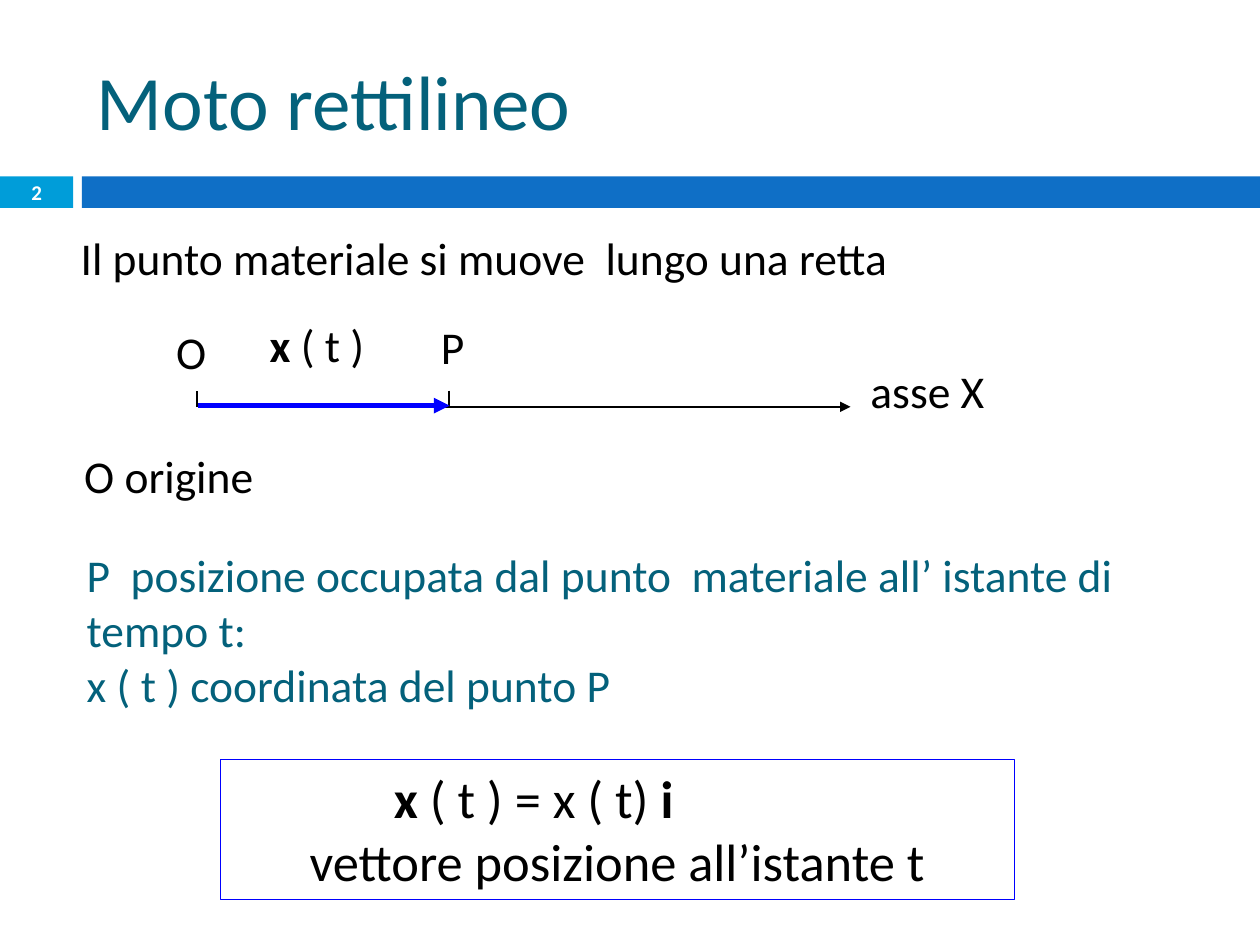
"""Build the slide on straight-line motion of a material point."""
from dataclasses import dataclass

from lxml.etree import SubElement
from pptx import Presentation
from pptx.dml.color import RGBColor
from pptx.enum.shapes import MSO_CONNECTOR, MSO_SHAPE
from pptx.enum.text import MSO_ANCHOR, MSO_AUTO_SIZE, PP_ALIGN
from pptx.oxml.ns import qn
from pptx.util import Pt

BLACK, WHITE, TEAL, BLUE = "000000", "FFFFFF", "04617B", "0000FF"
AXIS_Y = 232.5
ORIGIN_X, POINT_X = 112.5, 256.5


@dataclass
class Area:
    left: float
    top: float
    width: float
    height: float

    def lengths(self) -> tuple:
        return Pt(self.left), Pt(self.top), Pt(self.width), Pt(self.height)


@dataclass
class Label:
    area: Area
    lines: list
    color: str = BLACK
    anchor: MSO_ANCHOR = MSO_ANCHOR.TOP


@dataclass
class Segment:
    start: tuple
    end: tuple
    color: str = BLACK
    weight: float = 1.5
    arrow: bool = False


LABELS = [
    Label(Area(39, 128, 673, 39), ["Il punto materiale si muove  lungo una retta"]),
    Label(Area(490.3, 203.8, 150.5, 47.5), ["asse X"]),
    Label(Area(93.6, 181.4, 44, 36), ["O"]),
    Label(Area(244.8, 178.6, 40.3, 36), ["P"]),
    Label(Area(42.5, 296.6, 652.3, 126),
          ["P  posizione occupata dal punto  materiale all’ istante di tempo t:",
           "x ( t ) coordinata del punto P"], TEAL, MSO_ANCHOR.MIDDLE),
    Label(Area(41, 252.7, 193.7, 39), ["O origine"]),
]

SEGMENTS = [
    Segment((113.8, AXIS_Y), (486, AXIS_Y), arrow=True),
    Segment((POINT_X, 223.2), (POINT_X, AXIS_Y)),
    Segment((113, 231.8), (257, 231.8), BLUE, 3, True),
    Segment((ORIGIN_X, AXIS_Y), (ORIGIN_X, 223.2)),
]


def rgb(color: str) -> RGBColor:
    """Turn a hex string into a colour."""
    return RGBColor.from_string(color)


def add_span(para, text: str, *, size: float = 26, color: str = BLACK, bold: bool = False) -> None:
    """Append formatted text to a paragraph."""
    span = para.add_run()
    span.text = text
    span.font.name = "Calibri"
    span.font.size = Pt(size)
    span.font.bold = bold
    span.font.color.rgb = rgb(color)


def add_box(page, area: Area, anchor: MSO_ANCHOR = MSO_ANCHOR.TOP):
    """Add a wrapping text box and return its text frame."""
    frame = page.shapes.add_textbox(*area.lengths()).text_frame
    frame.word_wrap = True
    frame.vertical_anchor = anchor
    return frame


def add_label(page, label: Label) -> None:
    """Add a text box with one paragraph for each line."""
    frame = add_box(page, label.area, label.anchor)
    for index, line in enumerate(label.lines):
        para = frame.add_paragraph() if index else frame.paragraphs[0]
        add_span(para, line, color=label.color)


def add_rectangle(page, area: Area, fill: str, outline: str = ""):
    """Add a flat rectangle with an optional thin outline."""
    box = page.shapes.add_shape(MSO_SHAPE.RECTANGLE, *area.lengths())
    box.shadow.inherit = False
    box.fill.solid()
    box.fill.fore_color.rgb = rgb(fill)
    if outline:
        box.line.color.rgb = rgb(outline)
        box.line.width = Pt(0.75)
    else:
        box.line.fill.background()
    return box


def add_segment(page, segment: Segment) -> None:
    """Add a straight line with an optional arrowhead."""
    ends = [Pt(value) for value in segment.start + segment.end]
    line = page.shapes.add_connector(MSO_CONNECTOR.STRAIGHT, *ends)
    line.line.color.rgb = rgb(segment.color)
    line.line.width = Pt(segment.weight)
    if segment.arrow:
        SubElement(line.line._get_or_add_ln(), qn("a:tailEnd"), type="triangle")
    SubElement(line._element.spPr, qn("a:effectLst"))


def add_title(page) -> None:
    """Place and format the slide title."""
    title = page.shapes.title
    title.left, title.top, title.width, title.height = Area(48.2, 18, 642.2, 77.8).lengths()
    frame = title.text_frame
    frame.auto_size = MSO_AUTO_SIZE.NONE
    frame.vertical_anchor = MSO_ANCHOR.MIDDLE
    para = frame.paragraphs[0]
    para.alignment = PP_ALIGN.LEFT
    add_span(para, "Moto rettilineo", size=44, color=TEAL)


def add_page_number(page) -> None:
    """Add the slide number over the small bar."""
    frame = add_box(page, Area(0, 100, 41.8, 19.4), MSO_ANCHOR.MIDDLE)
    frame.margin_top = frame.margin_bottom = 0
    para = frame.paragraphs[0]
    para.alignment = PP_ALIGN.CENTER
    add_span(para, "2", size=12, color=WHITE, bold=True)


def add_formula(page) -> None:
    """Add the framed position vector formula."""
    frame = add_rectangle(page, Area(126, 434.2, 453.6, 80), WHITE, BLUE).text_frame
    frame.word_wrap = True
    frame.vertical_anchor = MSO_ANCHOR.TOP
    formula, caption = frame.paragraphs[0], frame.add_paragraph()
    formula.alignment = PP_ALIGN.LEFT
    formula._p.get_or_add_pPr().set("marL", str(Pt(92)))
    for text, bold in (("x ", True), ("( t ) = x ( t) ", False), ("i", True)):
        add_span(formula, text, size=30, bold=bold)
    caption.alignment = PP_ALIGN.CENTER
    add_span(caption, "vettore posizione all’istante t", size=30)


def main() -> None:
    """Build and save the deck."""
    deck = Presentation()
    deck.slide_width, deck.slide_height = Pt(720), Pt(540)
    page = deck.slides.add_slide(deck.slide_layouts[5])
    add_title(page)
    add_rectangle(page, Area(0, 100.8, 41.8, 18), "009DD9")
    add_rectangle(page, Area(46.8, 100.8, 673.2, 18), "0F6FC6")
    add_page_number(page)
    for segment in SEGMENTS:
        add_segment(page, segment)
    for label in LABELS:
        add_label(page, label)
    symbol = add_box(page, Area(147, 177.8, 80, 55.4)).paragraphs[0]
    add_span(symbol, "x", bold=True)
    add_span(symbol, " ( t )")
    add_formula(page)
    deck.save("out.pptx")


if __name__ == "__main__":
    main()
